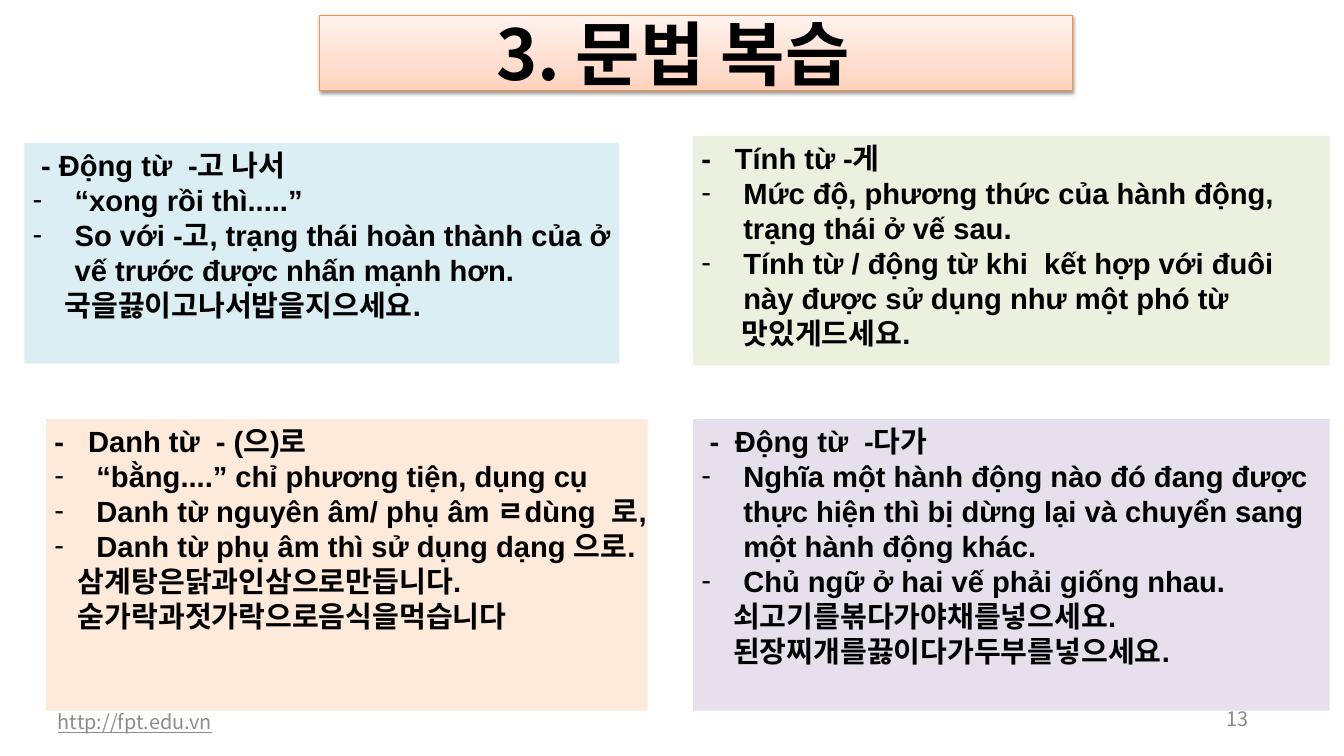
from dataclasses import dataclass

import copy

import lxml.etree
import pptx
import pptx.dml.color
import pptx.enum.shapes
import pptx.enum.text
import pptx.oxml.ns
import pptx.util

Inches = pptx.util.Inches
Pt = pptx.util.Pt
qn = pptx.oxml.ns.qn
PP_ALIGN = pptx.enum.text.PP_ALIGN
MSO_ANCHOR = pptx.enum.text.MSO_ANCHOR

KOREAN_FONT = "Noto Sans CJK KR"
COLORS = {
    "text": "000000",
    "link": "8C8C8C",
    "number": "898989",
    "title_line": "F69240",
    "blue": "DBEEF4",
    "orange": "FDEADA",
    "purple": "E6E0EC",
    "green": "EBF1DE",
}
TITLE_STOPS = [(0, "FFD2BD"), (0.35, "FFDED0"), (1, "FFF2ED")]


@dataclass
class Box:
    left: float
    top: float
    width: float
    height: float


@dataclass
class Panel:
    """A grammar point: heading, dashed notes and indented examples."""
    box: Box
    color: str
    heading: str
    heading_margin: float
    heading_hang: float
    notes: list[str]
    examples: list[str]
    example_margin: float


@dataclass
class Footer:
    box: Box
    text: str
    color: str
    align: PP_ALIGN
    underline: bool


PANELS = [
    Panel(Box(0.29, 1.7, 7.08, 2.63), "blue", "- Động từ  -고 나서", 0.1, 0,
          ["“xong rồi thì.....”",
           "So với -고, trạng thái hoàn thành của ở vế trước được nhấn mạnh hơn."],
          ["국을끓이고나서밥을지으세요."], 0.38),
    Panel(Box(0.55, 4.99, 7.16, 3.47), "orange", "-\tDanh từ  - (으)로", 0.4, 0.4,
          ["“bằng....” chỉ phương tiện, dụng cụ",
           "Danh từ nguyên âm/ phụ âm ㄹdùng  로,",
           "Danh từ phụ âm thì sử dụng dạng 으로."],
          ["삼계탕은닭과인삼으로만듭니다.", "숟가락과젓가락으로음식을먹습니다"], 0.28),
    Panel(Box(8.25, 4.99, 7.58, 3.47), "purple", "-\tĐộng từ  -다가", 0.4, 0.3,
          ["Nghĩa một hành động nào đó đang được thực hiện thì bị dừng lại và "
           "chuyển sang một hành động khác.",
           "Chủ ngữ ở hai vế phải giống nhau."],
          ["쇠고기를볶다가야채를넣으세요.", "된장찌개를끓이다가두부를넣으세요."], 0.38),
    Panel(Box(8.25, 1.62, 7.58, 2.73), "green", "-\tTính từ -게", 0.4, 0.4,
          ["Mức độ, phương thức của hành động, trạng thái ở vế sau.",
           "Tính từ / động từ khi  kết hợp với đuôi này được sử dụng như một phó từ"],
          ["맛있게드세요."], 0.48),
]
FOOTERS = [
    Footer(Box(0.55, 8.35, 5.07, 0.48), "http://fpt.edu.vn", "link", PP_ALIGN.LEFT, True),
    Footer(Box(14.22, 8.35, 0.78, 0.41), "13", "number", PP_ALIGN.RIGHT, False),
]


def rgb(value: str) -> pptx.dml.color.RGBColor:
    return pptx.dml.color.RGBColor.from_string(value)


def place(box: Box) -> list[int]:
    return [Inches(length) for length in (box.left, box.top, box.width, box.height)]


def set_font(paragraph, name: str, size: float, color: str, bold: bool = False) -> None:
    """Format a paragraph, with the Korean font for East Asian text."""
    font = paragraph.font
    font.size = Pt(size)
    font.bold = bold
    font.color.rgb = rgb(COLORS[color])
    font.name = name
    defaults = paragraph._p.pPr.find(qn("a:defRPr"))
    lxml.etree.SubElement(defaults, qn("a:ea"), typeface=KOREAN_FONT)


def set_indent(paragraph, margin: float, hang: float, bullet: str = "") -> None:
    properties = paragraph._p.get_or_add_pPr()
    properties.set("marL", str(Inches(margin)))
    properties.set("indent", str(-Inches(hang)))
    if bullet:
        lxml.etree.SubElement(properties, qn("a:buFont"), typeface="Arial")
        lxml.etree.SubElement(properties, qn("a:buChar"), char=bullet)


def add_rectangle(slide, box: Box):
    shape = slide.shapes.add_shape(pptx.enum.shapes.MSO_SHAPE.RECTANGLE, *place(box))
    shape.shadow.inherit = False
    shape.text_frame.word_wrap = True
    return shape


def add_footer(slide, footer: Footer) -> None:
    frame = slide.shapes.add_textbox(*place(footer.box)).text_frame
    frame.word_wrap = True
    frame.vertical_anchor = MSO_ANCHOR.MIDDLE
    frame.margin_left = frame.margin_right = Inches(0.14)
    frame.margin_top = frame.margin_bottom = Inches(0.07)
    paragraph = frame.paragraphs[0]
    paragraph.text = footer.text
    paragraph.alignment = footer.align
    set_font(paragraph, KOREAN_FONT, 17, footer.color)
    paragraph.font.underline = footer.underline


def add_title(slide) -> None:
    shape = add_rectangle(slide, Box(3.8, 0.18, 8.97, 0.9))
    shape.fill.gradient()
    shape.fill.gradient_angle = 90
    first_stop = shape._element.spPr.find(".//" + qn("a:gs"))
    first_stop.addnext(copy.deepcopy(first_stop))
    for stop, (position, color) in zip(shape.fill.gradient_stops, TITLE_STOPS):
        stop.position = position
        stop.color.rgb = rgb(color)
    shape.line.color.rgb = rgb(COLORS["title_line"])
    shape.line.width = Pt(0.75)

    effects = shape._element.spPr.find(qn("a:effectLst"))
    shadow = lxml.etree.SubElement(
        effects, qn("a:outerShdw"), blurRad=str(Pt(3.1)), dist=str(Pt(1.6)),
        dir="5400000", rotWithShape="0")
    shadow_color = lxml.etree.SubElement(shadow, qn("a:srgbClr"), val="000000")
    lxml.etree.SubElement(shadow_color, qn("a:alpha"), val="38000")

    frame = shape.text_frame
    frame.vertical_anchor = MSO_ANCHOR.MIDDLE
    frame.margin_right = Inches(0.65)
    paragraph = frame.paragraphs[0]
    paragraph.text = "3. 문법 복습"
    paragraph.alignment = PP_ALIGN.CENTER
    set_font(paragraph, KOREAN_FONT, 60, "text", bold=True)


def add_panel(slide, panel: Panel) -> None:
    shape = add_rectangle(slide, panel.box)
    shape.fill.solid()
    shape.fill.fore_color.rgb = rgb(COLORS[panel.color])
    shape.line.fill.background()
    frame = shape.text_frame
    frame.vertical_anchor = MSO_ANCHOR.TOP
    rows = [(panel.heading, panel.heading_margin, panel.heading_hang, "")]
    rows += [(note, 0.5, 0.5, "-") for note in panel.notes]
    rows += [(example, panel.example_margin, 0, "") for example in panel.examples]
    for index, (text, margin, hang, bullet) in enumerate(rows):
        paragraph = frame.add_paragraph() if index else frame.paragraphs[0]
        paragraph.text = text
        paragraph.alignment = PP_ALIGN.LEFT
        paragraph.line_spacing = Pt(30)
        set_indent(paragraph, margin, hang, bullet)
        set_font(paragraph, "Arial", 25, "text", bold=True)


def main() -> None:
    presentation = pptx.Presentation()
    presentation.slide_width = Inches(16)
    presentation.slide_height = Inches(9)
    slide = presentation.slides.add_slide(presentation.slide_layouts[6])
    for footer in FOOTERS:
        add_footer(slide, footer)
    add_title(slide)
    for panel in PANELS:
        add_panel(slide, panel)
    presentation.save("out.pptx")


if __name__ == "__main__":
    main()
